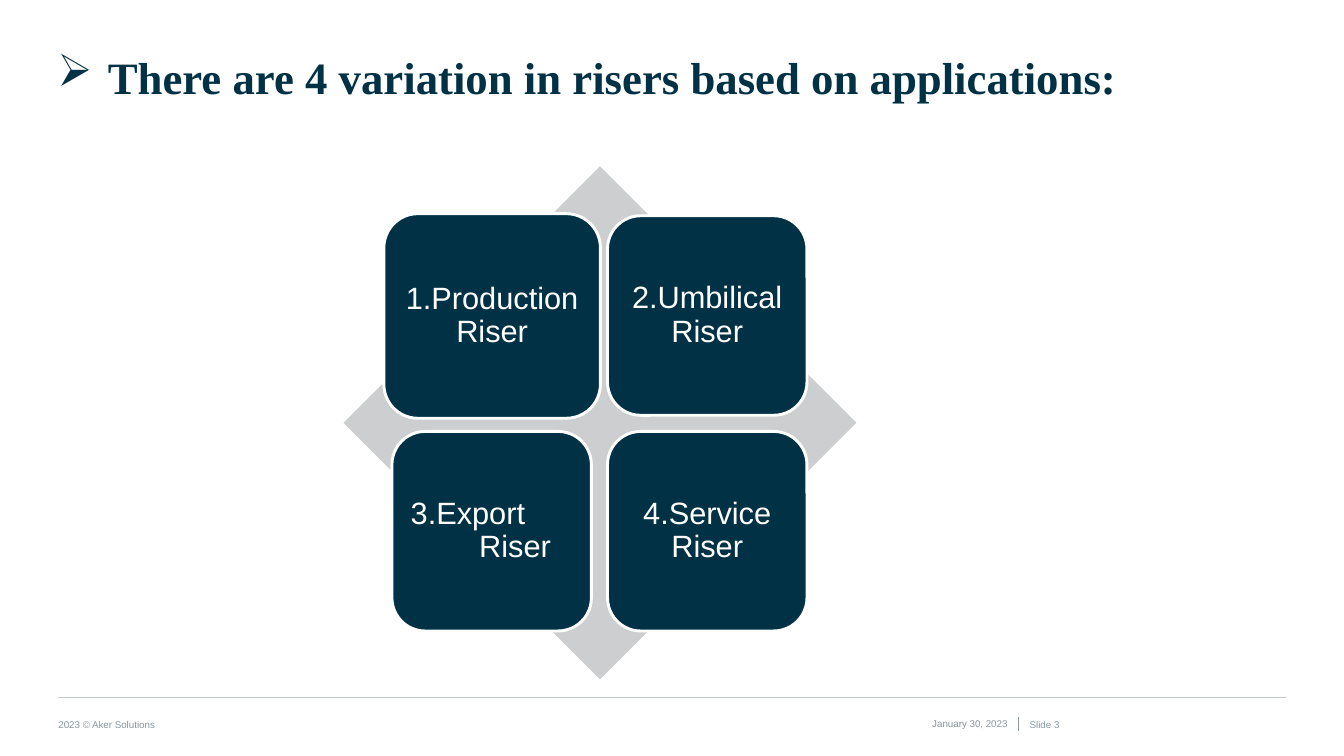
from lxml import etree
from pptx import Presentation
from pptx.dml.color import RGBColor
from pptx.enum.shapes import MSO_CONNECTOR, MSO_SHAPE
from pptx.enum.text import MSO_ANCHOR, MSO_AUTO_SIZE, PP_ALIGN
from pptx.oxml.ns import qn
from pptx.util import Pt

TITLE = "There are 4 variation in risers based on applications:"
RISERS = [
    ([("1.Production Riser", None)], 215, 203),
    ([("2.Umbilical Riser", None)], 198, 198),
    ([("3.Export", 0), ("Riser", 68)], 198, 198),
    ([("4.Service Riser", None)], 198, 198),
]
FOOTERS = [
    ("2023 © Aker Solutions", (58, 712, 284, 13), False),
    ("January 30, 2023", (868, 711, 132, 14), True),
    ("Slide 3", (1022, 712, 75, 14), False),
]
RULES = [((58, 692), (1277, 692), 50), ((1011, 711), (1011, 725), 100)]

PX = 9144
NAVY = RGBColor(0x00, 0x31, 0x45)
GREY = RGBColor(0xCC, 0xCE, 0xCF)
SLATE = RGBColor(0x89, 0x96, 0xA0)
WHITE = RGBColor(0xFF, 0xFF, 0xFF)
LEFT, CENTER, RIGHT = PP_ALIGN.LEFT, PP_ALIGN.CENTER, PP_ALIGN.RIGHT
MIDDLE = MSO_ANCHOR.MIDDLE
NO_FIT = MSO_AUTO_SIZE.NONE
DIAMOND, ROUNDED = MSO_SHAPE.DIAMOND, MSO_SHAPE.ROUNDED_RECTANGLE
STRAIGHT = MSO_CONNECTOR.STRAIGHT
FIRST_CENTER, PITCH = (488, 313), 214


def emu(lengths):
    return [length * PX for length in lengths]


def write(frame, text, size, color, font="Arial", bold=False, align=LEFT,
          inset=0, spacing=1.0, indent=0, bullet=None, first=True):
    frame.word_wrap = True
    frame.auto_size = NO_FIT
    frame.vertical_anchor = MIDDLE
    frame.margin_left = frame.margin_right = inset * PX
    frame.margin_top = frame.margin_bottom = inset * PX
    paragraph = frame.paragraphs[0] if first else frame.add_paragraph()
    paragraph.alignment = align
    paragraph.line_spacing = spacing
    properties = paragraph._p.get_or_add_pPr()
    properties.set("marL", str(indent * PX))
    properties.set("indent", str(-indent * PX if bullet else 0))
    if bullet:
        etree.SubElement(properties, qn("a:buChar")).set("char", bullet)
    run = paragraph.add_run()
    run.text = text
    run.font.size = Pt(size)
    run.font.name = font
    run.font.bold = bold
    run.font.color.rgb = color


def add_block(slide, preset, box, color):
    block = slide.shapes.add_shape(preset, *emu(box))
    block.shadow.inherit = False
    block.fill.solid()
    block.fill.fore_color.rgb = color
    block.line.fill.background()
    return block


def add_rule(slide, start, end, opacity):
    rule = slide.shapes.add_connector(STRAIGHT, *emu(start + end))
    rule.line.color.rgb = SLATE
    rule.line.width = Pt(0.5)
    if opacity < 100:
        color = rule.line._ln.find(".//" + qn("a:srgbClr"))
        etree.SubElement(color, qn("a:alpha")).set("val", str(opacity * 1000))
    etree.SubElement(rule._element.spPr, qn("a:effectLst"))


def add_riser(slide, position, lines, width, height):
    row, column = divmod(position, 2)
    x = FIRST_CENTER[0] + column * PITCH - width // 2
    y = FIRST_CENTER[1] + row * PITCH - height // 2
    tile = add_block(slide, ROUNDED, (x, y, width, height), NAVY)
    tile.line.color.rgb = WHITE
    tile.line.width = Pt(2.08)
    for number, (text, indent) in enumerate(lines):
        write(tile.text_frame, text, 22, WHITE, inset=9, spacing=0.9,
              align=CENTER if indent is None else LEFT,
              indent=indent or 0, first=number == 0)


def main():
    deck = Presentation()
    deck.slide_width, deck.slide_height = emu((1334, 750))
    slide = deck.slides.add_slide(deck.slide_layouts[5])

    title = slide.shapes.title
    title.left, title.top, title.width, title.height = emu((57, 48, 1220, 55))
    write(title.text_frame, TITLE, 32, NAVY, font="Times New Roman",
          bold=True, indent=50, bullet="➢")

    for text, box, flush_right in FOOTERS:
        footer = slide.shapes.add_textbox(*emu(box))
        write(footer.text_frame, text, 7, SLATE,
              align=RIGHT if flush_right else LEFT)
    for start, end, opacity in RULES:
        add_rule(slide, start, end, opacity)

    add_block(slide, DIAMOND, (341, 165, 509, 509), GREY)
    for position, riser in enumerate(RISERS):
        add_riser(slide, position, *riser)

    deck.save("out.pptx")


if __name__ == "__main__":
    main()
